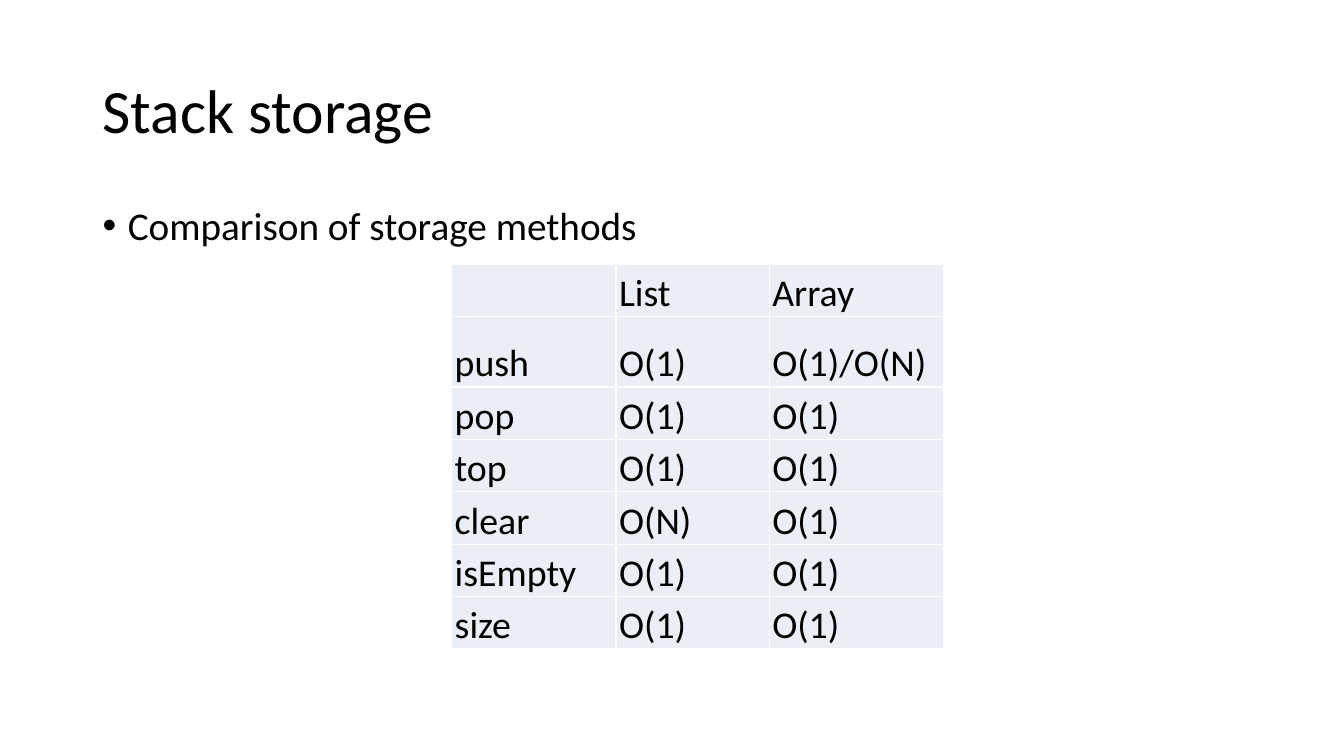
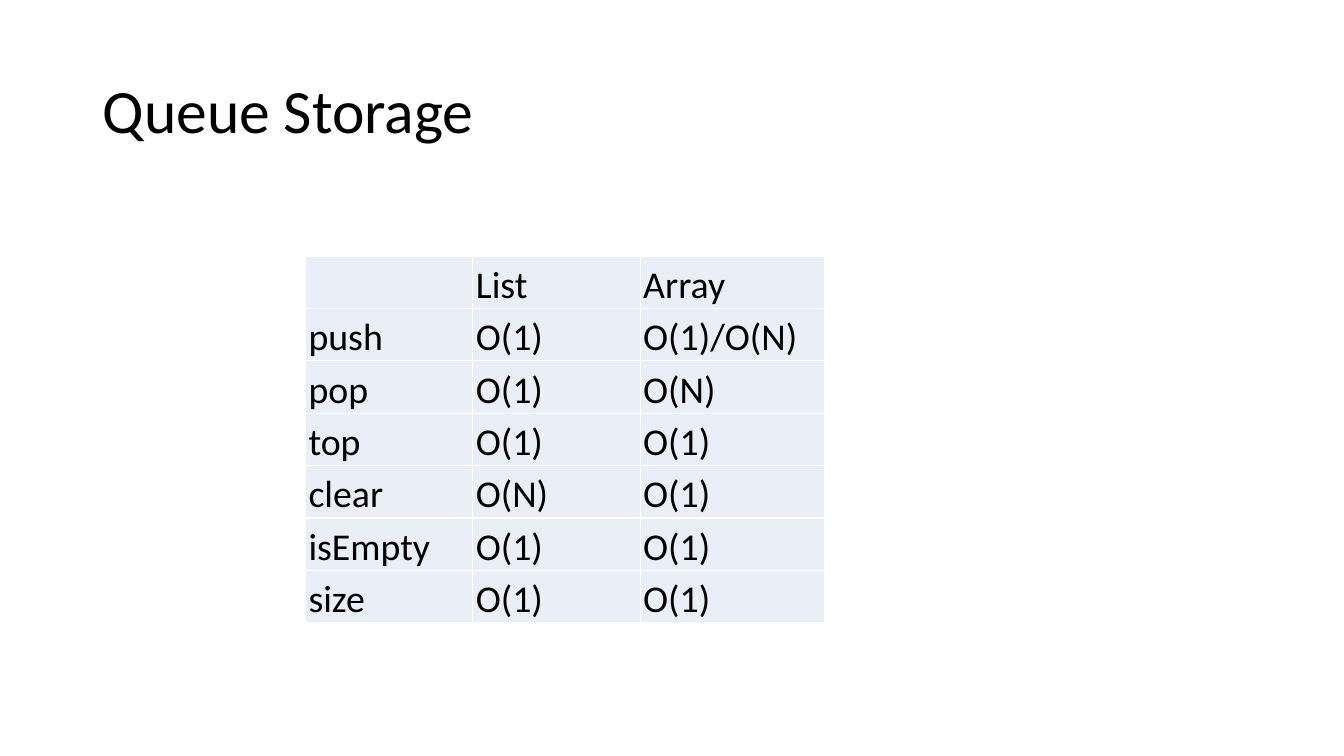
from dataclasses import dataclass

from lxml import etree
from pptx import Presentation
from pptx.dml.color import RGBColor
from pptx.enum.text import MSO_ANCHOR
from pptx.oxml.ns import qn
from pptx.util import Inches, Pt

TOP, MIDDLE, BOTTOM = MSO_ANCHOR.TOP, MSO_ANCHOR.MIDDLE, MSO_ANCHOR.BOTTOM


@dataclass(frozen=True)
class Theme:
    """Colours, font and type sizes shared by the slides."""
    font: str = "Calibri"
    ink: str = "000000"
    cell: str = "EAEFF7"
    rule: str = "FFFFFF"
    title: int = 44
    body: int = 28
    entry: int = 27


THEME = Theme()
WIDTH, HEIGHT = 13.33, 7.5
MARGIN, CONTENT_WIDTH = 0.92, 11.5
TITLE_BOX = (MARGIN, 0.4, CONTENT_WIDTH, 1.45)
BODY_BOX = (MARGIN, 2, CONTENT_WIDTH, 4.76)
ROW = 0.52
INDENT = Inches(0.25)
CELL_INSET = Inches(0.03)


def write(frame, text, size, anchor=TOP, spacing=None, before=0, bullet=None):
    """Put one formatted paragraph of text into a text frame."""
    frame.word_wrap = True
    frame.vertical_anchor = anchor
    paragraph = frame.paragraphs[0]
    paragraph.line_spacing = spacing
    paragraph.space_before = Pt(before)
    run = paragraph.add_run()
    run.text = text
    run.font.name = THEME.font
    run.font.size = Pt(size)
    run.font.color.rgb = RGBColor.from_string(THEME.ink)
    if bullet:
        properties = paragraph._p.get_or_add_pPr()
        properties.set("marL", str(INDENT))
        properties.set("indent", str(-INDENT))
        etree.SubElement(properties, qn("a:buFont"), typeface="Arial")
        etree.SubElement(properties, qn("a:buChar"), char=bullet)


def style_cell(cell):
    """Give a table cell its insets, thin borders and fill."""
    cell.margin_left = cell.margin_right = cell.margin_top = CELL_INSET
    cell.margin_bottom = 0
    properties = cell._tc.get_or_add_tcPr()
    for side in ("lnL", "lnR", "lnT", "lnB"):
        border = etree.SubElement(properties, qn(f"a:{side}"), w=str(Pt(1)))
        fill = etree.SubElement(border, qn("a:solidFill"))
        etree.SubElement(fill, qn("a:srgbClr"), val=THEME.rule)
    cell.fill.solid()
    cell.fill.fore_color.rgb = RGBColor.from_string(THEME.cell)


OPERATIONS = ("push", "pop", "top", "clear", "isEmpty", "size")
LIST_COSTS = ("O(1)", "O(1)", "O(1)", "O(N)", "O(1)", "O(1)")

topics = [
    {
        "title": "Stack storage",
        "point": "Comparison of storage methods",
        "origin": (4.48, 2.62),
        "columns": (1.63, 1.52, 1.73),
        "push_row": 0.7,
        "array_costs": ("O(1)/O(N)", "O(1)", "O(1)", "O(1)", "O(1)", "O(1)"),
    },
    {
        "title": "Queue Storage",
        "point": None,
        "origin": (3.03, 2.54),
        "columns": (1.66, 1.66, 1.83),
        "push_row": ROW,
        "array_costs": ("O(1)/O(N)", "O(N)", "O(1)", "O(1)", "O(1)", "O(1)"),
    },
]

deck = Presentation()
deck.slide_width, deck.slide_height = Inches(WIDTH), Inches(HEIGHT)
blank = deck.slide_layouts[6]

for topic in topics:
    slide = deck.slides.add_slide(blank)
    heading = slide.shapes.add_textbox(*map(Inches, TITLE_BOX))
    write(heading.text_frame, topic["title"], THEME.title,
          anchor=MIDDLE, spacing=0.9)
    if topic["point"]:
        body = slide.shapes.add_textbox(*map(Inches, BODY_BOX))
        write(body.text_frame, topic["point"], THEME.body,
              spacing=0.9, before=10, bullet="•")

    costs = [("", "List", "Array"),
             *zip(OPERATIONS, LIST_COSTS, topic["array_costs"])]
    columns = topic["columns"]
    rows = [ROW, topic["push_row"]] + [ROW] * (len(costs) - 2)
    extent = (*topic["origin"], sum(columns), sum(rows))
    table = slide.shapes.add_table(
        len(rows), len(columns), *map(Inches, extent)).table
    table.first_row = table.horz_banding = False
    for column, width in zip(table.columns, columns):
        column.width = Inches(width)
    for row, height, entries in zip(table.rows, rows, costs):
        row.height = Inches(height)
        for cell, entry in zip(row.cells, entries):
            style_cell(cell)
            if entry:
                write(cell.text_frame, entry, THEME.entry)
                cell.vertical_anchor = BOTTOM

deck.save("out.pptx")
